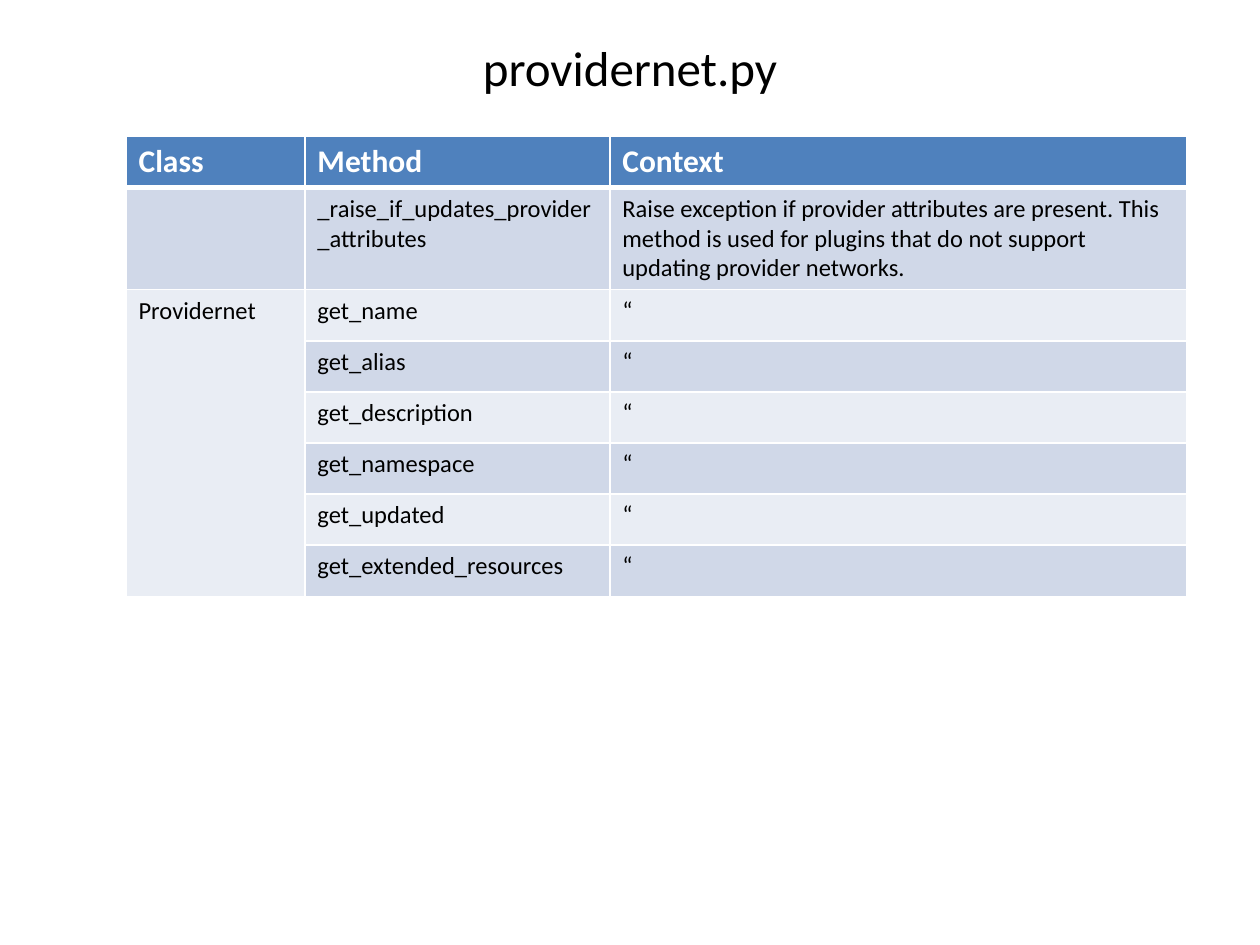
import pptx
import pptx.util
import pptx.dml.color
import pptx.enum.text
import pptx.oxml
import pptx.oxml.ns

Pt = pptx.util.Pt
RGBColor = pptx.dml.color.RGBColor
WHITE = RGBColor(0xFF, 0xFF, 0xFF)
BLACK = RGBColor(0, 0, 0)
HEADER = RGBColor(0x4F, 0x81, 0xBD)
BAND_DARK = RGBColor(0xD0, 0xD8, 0xE8)
BAND_LIGHT = RGBColor(0xE9, 0xED, 0xF4)
FONT = "Calibri"

COLUMN_WIDTHS = (102.24, 174.24, 329.76)
ROW_HEIGHT = 29.2
GETTERS = ("name", "alias", "description", "namespace", "updated", "extended_resources")
ROWS = [
    ("Class", "Method", "Context"),
    ("", "_raise_if_updates_provider_attributes",
     "Raise exception if provider attributes are present. This method is used "
     "for plugins that do not support updating provider networks."),
] + [("Providernet" if i == 0 else "", f"get_{name}", "“") for i, name in enumerate(GETTERS)]


def format_text(tf, size, color, bold=False):
    """Apply one font style to every run of a text frame."""
    for p in tf.paragraphs:
        for r in p.runs:
            r.font.name = FONT
            r.font.size = Pt(size)
            r.font.bold = bold
            r.font.color.rgb = color


def set_borders(cell, top, bottom):
    """Draw white cell borders with the given top and bottom widths in points."""
    tc_pr = cell._tc.get_or_add_tcPr()
    for tag, width in (("lnL", 1), ("lnR", 1), ("lnT", top), ("lnB", bottom)):
        tc_pr.append(pptx.oxml.parse_xml(
            f'<a:{tag} {pptx.oxml.ns.nsdecls("a")} w="{Pt(width)}"><a:solidFill>'
            f'<a:srgbClr val="{WHITE}"/></a:solidFill></a:{tag}>'))


def add_title(s, left, top, width, height):
    """Place the slide title in its box."""
    sp = s.shapes.title
    sp.left, sp.top, sp.width, sp.height = Pt(left), Pt(top), Pt(width), Pt(height)
    tf = sp.text_frame
    tf.text = "providernet.py"
    tf.auto_size = pptx.enum.text.MSO_AUTO_SIZE.NONE
    tf.vertical_anchor = pptx.enum.text.MSO_ANCHOR.TOP
    tf.paragraphs[0].alignment = pptx.enum.text.PP_ALIGN.CENTER
    format_text(tf, 28, BLACK)


def add_method_table(s, left, top):
    """Place the banded table of classes and methods."""
    table = s.shapes.add_table(
        len(ROWS), len(COLUMN_WIDTHS), Pt(left), Pt(top),
        Pt(sum(COLUMN_WIDTHS)), Pt(ROW_HEIGHT * len(ROWS))).table
    for column, width in zip(table.columns, COLUMN_WIDTHS):
        column.width = Pt(width)
    for i, texts in enumerate(ROWS):
        table.rows[i].height = Pt(ROW_HEIGHT)
        band = BAND_DARK if i % 2 else BAND_LIGHT
        for j, text in enumerate(texts):
            cell = table.cell(i, j)
            set_borders(cell, 3 if i == 1 else 1, 3 if i == 0 else 1)
            cell.fill.solid()
            cell.fill.fore_color.rgb = HEADER if i == 0 else band
            if text:
                cell.text_frame.text = text
            if i == 0:
                format_text(cell.text_frame, 18, WHITE, bold=True)
            else:
                format_text(cell.text_frame, 14, BLACK)
    table.cell(2, 0).merge(table.cell(len(ROWS) - 1, 0))


def main():
    """Build and save the slide."""
    prs = pptx.Presentation()
    prs.slide_width, prs.slide_height = Pt(720), Pt(540)
    s = prs.slides.add_slide(prs.slide_layouts[5])
    add_title(s, 36, 18, 648, 32.4)
    add_method_table(s, 72, 78)
    prs.save("out.pptx")


if __name__ == "__main__":
    main()
